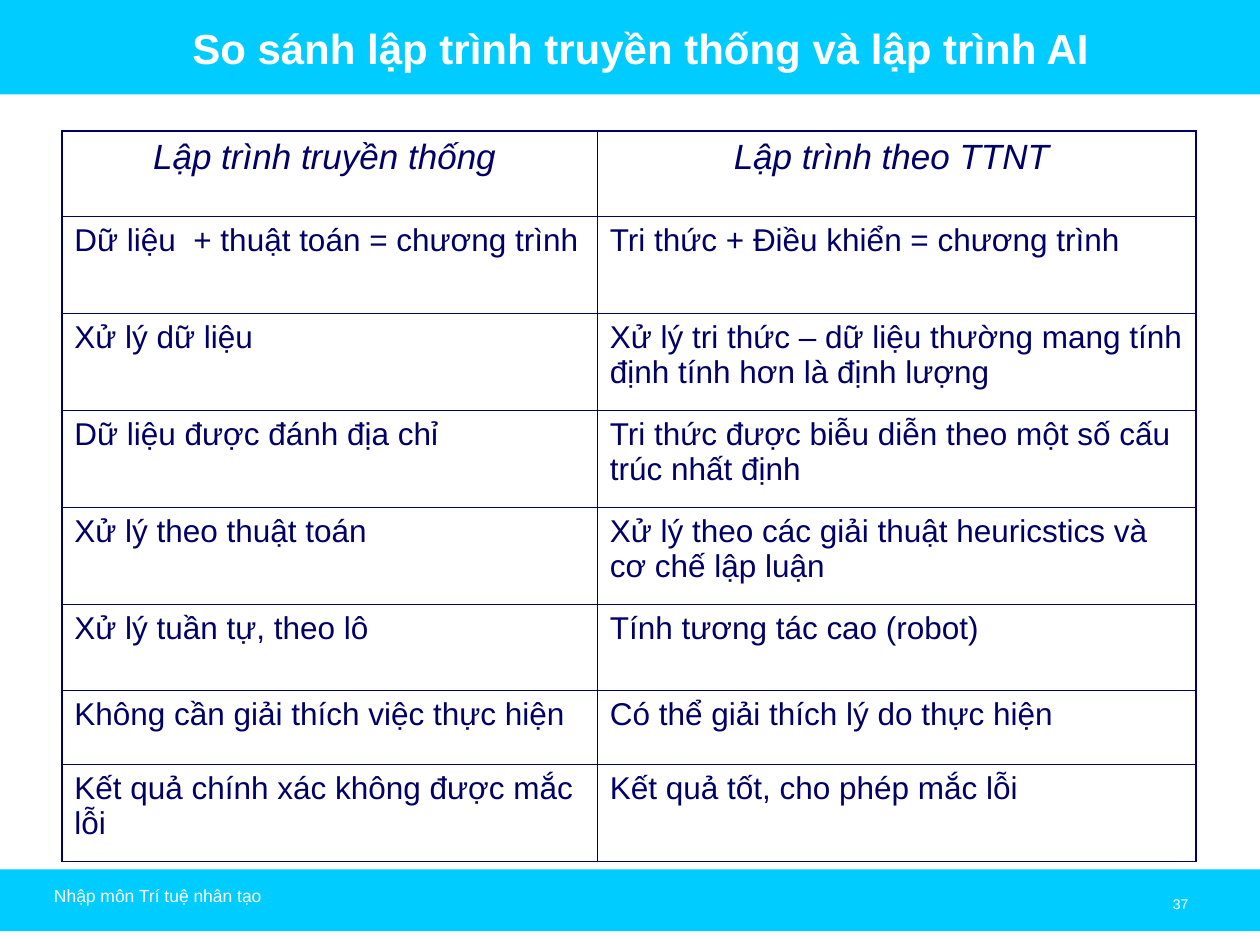
from lxml import etree
from pptx import Presentation
from pptx.dml.color import RGBColor
from pptx.enum.shapes import MSO_SHAPE
from pptx.enum.text import MSO_ANCHOR, MSO_AUTO_SIZE, PP_ALIGN
from pptx.oxml.ns import qn
from pptx.util import Inches, Pt

RECTANGLE = MSO_SHAPE.RECTANGLE
TOP, MIDDLE = MSO_ANCHOR.TOP, MSO_ANCHOR.MIDDLE
LEFT, CENTER = PP_ALIGN.LEFT, PP_ALIGN.CENTER
NO_AUTOFIT = MSO_AUTO_SIZE.NONE
TITLE_ONLY = 5

COLORS = {"band": "00CCFF", "light": "FFFFFF", "navy": "000066"}
FORMATS = {
    "title": {"size": Pt(24), "bold": True, "italic": False},
    "footer": {"size": Pt(10), "bold": False, "italic": False},
    "number": {"size": Pt(8), "bold": False, "italic": False},
    "heading": {"size": Pt(20), "bold": False, "italic": True},
    "body": {"size": Pt(18), "bold": False, "italic": False},
}
OUTER_LINE, INNER_LINE = Pt(1.08), Pt(0.45)
COLUMN_WIDTHS = (4.25, 4.75)
ROW_HEIGHTS = (0.68, 0.77, 0.77, 0.77, 0.77, 0.68, 0.59, 0.77)
COMPARISON = (
    ("Lập trình truyền thống ", "Lập trình theo TTNT "),
    ("Dữ liệu  + thuật toán = chương trình", "Tri thức + Điều khiển = chương trình"),
    ("Xử lý dữ liệu",
     "Xử lý tri thức – dữ liệu thường mang tính định tính hơn là định lượng"),
    ("Dữ liệu được đánh địa chỉ",
     "Tri thức được biễu diễn theo một số cấu trúc nhất định"),
    ("Xử lý theo thuật toán",
     "Xử lý theo các giải thuật heuricstics và cơ chế lập luận"),
    ("Xử lý tuần tự, theo lô", "Tính tương tác cao (robot)"),
    ("Không cần giải thích việc thực hiện", "Có thể giải thích lý do thực hiện"),
    ("Kết quả chính xác không được mắc lỗi", "Kết quả tốt, cho phép mắc lỗi"),
)


def write(frame, text, style, color, align=LEFT):
    """Put one formatted paragraph into a text frame."""
    frame.word_wrap = True
    para = frame.paragraphs[0]
    para.alignment = align
    span = para.add_run()
    span.text = text
    span.font.name = "Arial"
    span.font.color.rgb = RGBColor.from_string(COLORS[color])
    for name, value in FORMATS[style].items():
        setattr(span.font, name, value)


def paint(shape):
    """Fill a shape with the band colour and remove its outline."""
    shape.fill.solid()
    shape.fill.fore_color.rgb = RGBColor.from_string(COLORS["band"])
    shape.line.fill.background()


def add_band(page, box):
    """Add a plain coloured rectangle in the given box."""
    band = page.shapes.add_shape(RECTANGLE, *map(Inches, box))
    band.shadow.inherit = False
    paint(band)
    return band


def add_header(page, box, text):
    """Place the title placeholder on a band filling the box."""
    left, top, width, height = box
    band = add_band(page, box)
    title = page.shapes.title
    band.element.addnext(title.element)
    title.left, title.top = Inches(left + 0.117 * width), Inches(top + 0.11 * height)
    title.width, title.height = Inches(0.783 * width), Inches(0.78 * height)
    paint(title)
    title.text_frame.auto_size = NO_AUTOFIT
    title.text_frame.vertical_anchor = MIDDLE
    write(title.text_frame, text, "title", "light", CENTER)


def add_footer(page, box, text, number):
    """Place the course name and the page number on a band filling the box."""
    left, top, width, height = box
    add_band(page, box)
    labels = (
        (text, "footer", LEFT, (0.033, 0.16, 0.558, 0.55)),
        (number, "number", CENTER, (0.886, 0.33, 0.102, 0.47)),
    )
    for words, style, align, (x, y, w, h) in labels:
        label = add_band(page, (left + x * width, top + y * height, w * width, h * height))
        label.text_frame.vertical_anchor = TOP
        write(label.text_frame, words, style, "light", align)


def set_borders(cell, widths):
    """Draw the cell borders, given as a dict from side letter to line width."""
    properties = cell._tc.get_or_add_tcPr()
    for side, width in widths.items():
        line = etree.SubElement(properties, qn(f"a:ln{side}"), w=str(int(width)))
        fill = etree.SubElement(line, qn("a:solidFill"))
        etree.SubElement(fill, qn("a:srgbClr"), val=COLORS["navy"])


def add_comparison(page, box, rows):
    """Add the bordered comparison table in the given box."""
    last_row, last_column = len(rows) - 1, len(COLUMN_WIDTHS) - 1
    frame = page.shapes.add_table(last_row + 1, last_column + 1, *map(Inches, box))
    table = frame.table
    table.first_row = table.horz_banding = False
    for column, width in zip(table.columns, COLUMN_WIDTHS):
        column.width = Inches(width)
    for row, height in zip(table.rows, ROW_HEIGHTS):
        row.height = Inches(height)
    for r, texts in enumerate(rows):
        style, align = ("body", LEFT) if r else ("heading", CENTER)
        for c, text in enumerate(texts):
            cell = table.cell(r, c)
            outer = {"L": c == 0, "R": c == last_column, "T": r == 0, "B": r == last_row}
            set_borders(cell, {side: OUTER_LINE if edge else INNER_LINE
                               for side, edge in outer.items()})
            cell.fill.background()
            write(cell.text_frame, text, style, "navy", align)


def main():
    """Build the slide and save the deck."""
    deck = Presentation()
    deck.slide_width, deck.slide_height = Inches(10), Inches(7.5)
    page = deck.slides.add_slide(deck.slide_layouts[TITLE_ONLY])
    add_header(page, (0, 0, 10, 0.75), "So sánh lập trình truyền thống và lập trình AI")
    add_footer(page, (0, 6.9, 10, 0.49), "Nhập môn Trí tuệ nhân tạo", "37")
    add_comparison(page, (0.49, 1.04, sum(COLUMN_WIDTHS), sum(ROW_HEIGHTS)), COMPARISON)
    deck.save("out.pptx")


if __name__ == "__main__":
    main()
